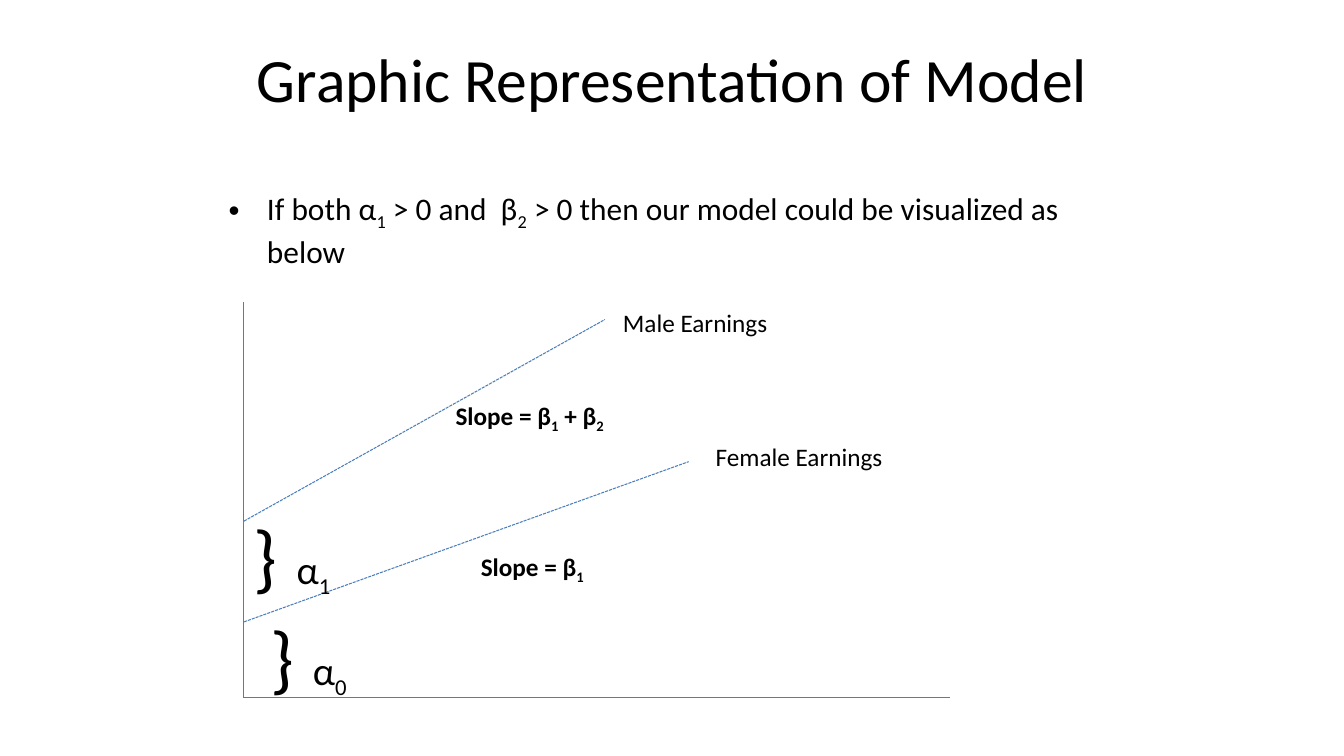
from lxml.etree import SubElement
from pptx import Presentation
from pptx.dml.color import RGBColor
from pptx.enum.dml import MSO_LINE
from pptx.enum.shapes import MSO_CONNECTOR
from pptx.enum.text import MSO_ANCHOR, MSO_AUTO_SIZE, PP_ALIGN
from pptx.oxml.ns import qn
from pptx.util import Inches, Pt

THEME = {
    "font": "Calibri",
    "text": RGBColor(0x00, 0x00, 0x00),
    "line": RGBColor(0x4B, 0x7E, 0xBC),
    "line_width": 0.75,
    "title": 44,
    "body": 22.4,
    "label": 18,
    "brace": 54,
    "brace_gap": 60,
    "symbol": 28,
}
SUBSCRIPT = "-25000"

# Text is a list of (words, type size, is subscript)
TITLE = [("Graphic Representation of Model", "title", False)]
BODY = [
    ("If both α", "body", False),
    ("1", "body", True),
    (" > 0 and  β", "body", False),
    ("2", "body", True),
    (" > 0 then our model could be visualized as below", "body", False),
]
MALE_SLOPE = [
    ("Slope = β", "label", False),
    ("1", "label", True),
    (" + β", "label", False),
    ("2", "label", True),
]
FEMALE_SLOPE = MALE_SLOPE[:2]

# Left, top, width, height
TITLE_BOX = (2.17, 0.3, 9, 0.95)
BODY_BOX = (2.17, 1.83, 9, 0.75)
LABEL_HEIGHT = 0.4
BRACE_SIZE = (1.83, 1.11)

# Text, bold, left, top, width
LABELS = [
    ([("Male Earnings", "label", False)], False, 6.08, 3, 2.25),
    ([("Female Earnings", "label", False)], False, 7, 4.33, 2.42),
    (FEMALE_SLOPE, True, 4.67, 5.42, 2.42),
    (MALE_SLOPE, True, 4.42, 3.92, 2.42),
]
# Subscript of the intercept, left, top
INTERCEPTS = [("1", 2.42, 4.92), ("0", 2.58, 5.92)]

ORIGIN = (2.42, 6.92)
AXIS_ENDS = [(ORIGIN[0], 3), (9.42, ORIGIN[1])]
# Height where the line leaves the vertical axis, far end
EARNINGS_LINES = [(5.17, (6, 3.17)), (6.17, (6.83, 4.58))]


def set_values(target, values):
    for name, value in values.items():
        setattr(target, name, value)


def add_text(slide, runs, box, bold=False, **frame_format):
    """Add a one-paragraph text box and return its paragraph."""
    shape = slide.shapes.add_textbox(*map(Inches, box))
    set_values(shape.text_frame, {"word_wrap": True, **frame_format})
    paragraph = shape.text_frame.paragraphs[0]
    for words, size, is_subscript in runs:
        run = paragraph.add_run()
        run.text = words
        set_values(run.font, {
            "name": THEME["font"], "size": Pt(THEME[size]), "bold": bold,
        })
        run.font.color.rgb = THEME["text"]
        if is_subscript:
            run.font._element.set("baseline", SUBSCRIPT)
    return paragraph


def add_bullet(paragraph, indent):
    properties = paragraph._p.get_or_add_pPr()
    properties.set("marL", str(Inches(indent)))
    properties.set("indent", str(Inches(-indent)))
    SubElement(properties, qn("a:buFont")).set("typeface", "Arial")
    SubElement(properties, qn("a:buChar")).set("char", "•")


def add_line(slide, start, end, dash=None):
    connector = slide.shapes.add_connector(
        MSO_CONNECTOR.STRAIGHT, *map(Inches, (*start, *end)))
    connector.line.color.rgb = THEME["line"]
    set_values(connector.line, {
        "width": Pt(THEME["line_width"]), "dash_style": dash,
    })
    SubElement(connector._element.spPr, qn("a:effectLst"))


def main():
    presentation = Presentation()
    set_values(presentation, {
        "slide_width": Inches(13.33), "slide_height": Inches(7.5),
    })
    slide = presentation.slides.add_slide(presentation.slide_layouts[6])

    title = add_text(slide, TITLE, TITLE_BOX, vertical_anchor=MSO_ANCHOR.MIDDLE)
    title.alignment = PP_ALIGN.CENTER
    add_bullet(add_text(slide, BODY, BODY_BOX), 0.38)

    for axis_end in AXIS_ENDS:
        add_line(slide, ORIGIN, axis_end)
    for intercept, line_end in EARNINGS_LINES:
        add_line(slide, (ORIGIN[0], intercept), line_end, MSO_LINE.SQUARE_DOT)

    grow = {"auto_size": MSO_AUTO_SIZE.SHAPE_TO_FIT_TEXT}
    for runs, bold, left, top, width in LABELS:
        add_text(slide, runs, (left, top, width, LABEL_HEIGHT), bold, **grow)
    for subscript, left, top in INTERCEPTS:
        runs = [
            ("}", "brace", False),
            (" ", "brace_gap", False),
            ("α", "symbol", False),
            (subscript, "symbol", True),
        ]
        add_text(slide, runs, (left, top, *BRACE_SIZE), **grow)

    presentation.save("out.pptx")


if __name__ == "__main__":
    main()
